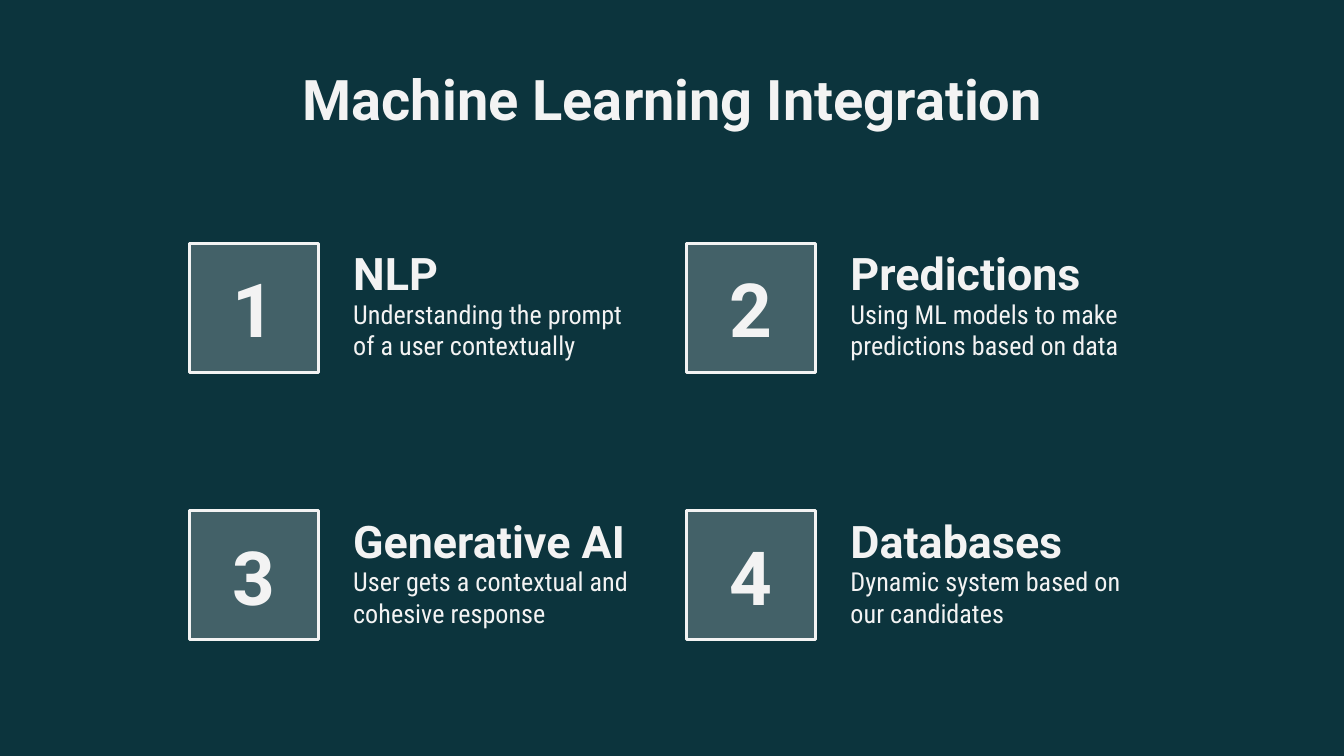
from pptx import Presentation
from pptx.dml.color import RGBColor
from pptx.enum import shapes, text
from pptx.oxml import parse_xml
from pptx.oxml.ns import nsdecls, qn
from pptx.util import Inches, Pt

DARK = RGBColor(0x0C, 0x34, 0x3D)
LIGHT = RGBColor(0xF3, 0xF3, 0xF3)


def write(sp, content, size, font="Roboto", bold=True,
          align=text.PP_ALIGN.LEFT, anchor=text.MSO_ANCHOR.TOP):
    tf = sp.text_frame
    tf.word_wrap = True
    tf.auto_size = text.MSO_AUTO_SIZE.NONE
    tf.vertical_anchor = anchor
    tf.margin_left = tf.margin_right = Inches(0.1)
    tf.margin_top = tf.margin_bottom = Inches(0.1)
    p = tf.paragraphs[0]
    p.alignment = align
    r = p.add_run()
    r.text = content
    r.font.name = font
    r.font.size = Pt(size)
    r.font.bold = bold
    r.font.color.rgb = LIGHT


prs = Presentation()
prs.slide_width = Inches(10)
prs.slide_height = Inches(10) * 9 // 16
s = prs.slides.add_slide(prs.slide_layouts[5])
s.background.fill.solid()
s.background.fill.fore_color.rgb = DARK

title = s.shapes.title
title.left, title.top = Inches(0.79), Inches(0.38)
title.width, title.height = Inches(8.43), Inches(0.63)
write(title, "Machine Learning Integration", 30, align=text.PP_ALIGN.CENTER)

topics = [
    ("NLP", "Understanding the prompt of a user contextually"),
    ("Predictions", "Using ML models to make predictions based on data"),
    ("Generative AI", "User gets a contextual and cohesive response"),
    ("Databases", "Dynamic system based on our candidates"),
]

for i, (heading, description) in enumerate(topics):
    row, col = divmod(i, 2)
    x = 1.41 + 3.7 * col
    y = 1.81 + 1.99 * row

    sp = s.shapes.add_shape(shapes.MSO_SHAPE.ROUNDED_RECTANGLE,
                            Inches(x), Inches(y), Inches(0.96), Inches(0.96))
    sp.adjustments[0] = 0
    sp.shadow.inherit = False
    sp.fill.solid()
    sp.fill.fore_color.rgb = LIGHT
    color = sp._element.spPr.find(qn("a:solidFill"))[0]
    color.append(parse_xml(f'<a:alpha {nsdecls("a")} val="24000"/>'))
    sp.line.color.rgb = LIGHT
    sp.line.width = Pt(1.5)
    write(sp, str(i + 1), 40, align=text.PP_ALIGN.CENTER,
          anchor=text.MSO_ANCHOR.MIDDLE)

    group = s.shapes.add_group_shape()
    tb = group.shapes.add_textbox(Inches(x + 1.12), Inches(y + 0.02),
                                  Inches(2.36), Inches(0.5))
    write(tb, heading, 24, anchor=text.MSO_ANCHOR.BOTTOM)
    tb = group.shapes.add_textbox(Inches(x + 1.12), Inches(y + 0.31),
                                  Inches(2.36), Inches(0.6))
    write(tb, description, 14, font="Roboto Condensed", bold=False)

prs.save("out.pptx")
